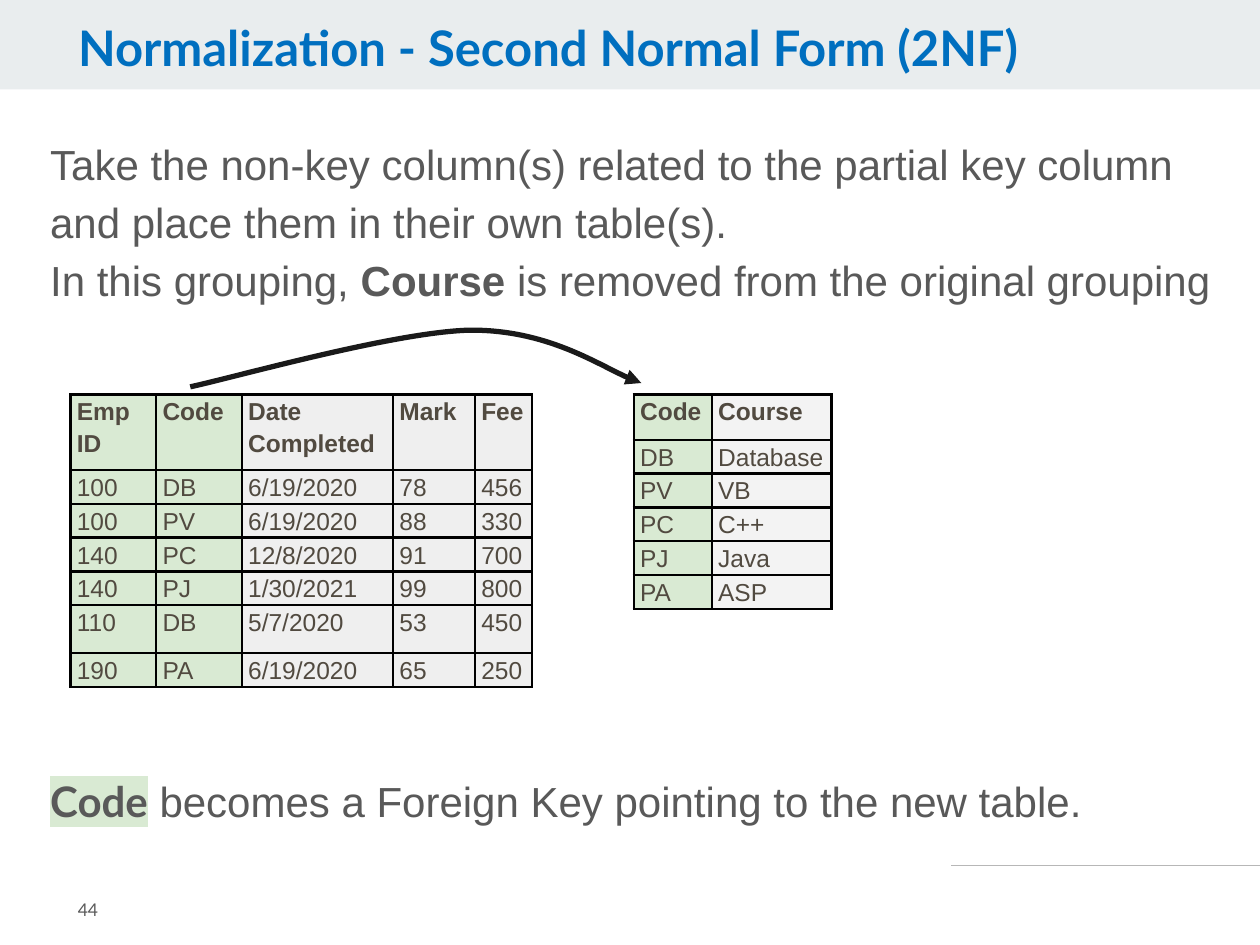
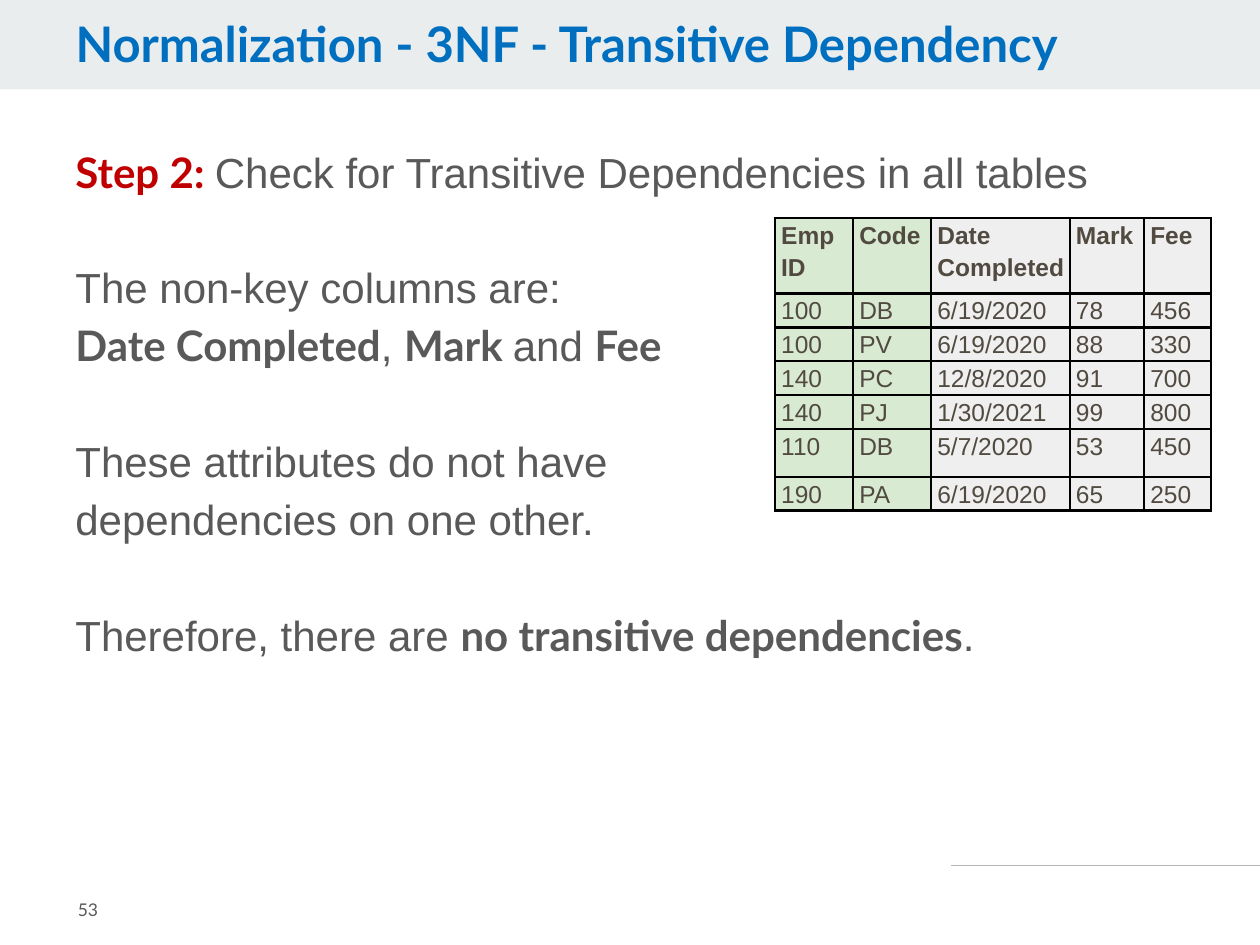
from lxml import etree
from pptx import Presentation
from pptx.dml.color import RGBColor as RGB
from pptx.enum.shapes import MSO_CONNECTOR as Link, MSO_SHAPE as Kind
from pptx.enum.text import MSO_ANCHOR as Anchor, MSO_AUTO_SIZE as Fit, PP_ALIGN as Align
from pptx.oxml import parse_xml
from pptx.oxml.ns import nsdecls, qn
from pptx.util import Inches, Pt

HUE = {"band": "E9EDEE", "rule": "B7B7B7", "title": "006FBF", "body": "595959",
       "step": "C00000", "cell": "514A40", "key": "D9EAD3", "data": "EFEFEF",
       "new": "F3F3F3", "edge": "000000", "arrow": "1A1A1A"}

MARKS = [
    ["Emp ID", "Code", "Date Completed", "Mark", "Fee"],
    ["100", "DB", "6/19/2020", "78", "456"],
    ["100", "PV", "6/19/2020", "88", "330"],
    ["140", "PC", "12/8/2020", "91", "700"],
    ["140", "PJ", "1/30/2021", "99", "800"],
    ["110", "DB", "5/7/2020", "53", "450"],
    ["190", "PA", "6/19/2020", "65", "250"],
]
COURSES = [["Code", "Course"], ["DB", "Database"], ["PV", "VB"],
           ["PC", "C++"], ["PJ", "Java"], ["PA", "ASP"]]
TALL = [0.6, 0.21, 0.21, 0.21, 0.21, 0.38, 0.21]
SHORT = [0.36] + [0.19] * 5

PAGES = [
    {"title": "Normalization - Second Normal Form (2NF)",
     "spot": (0.52, 0.14, 7.88, 0.55), "body": (0.3, 0.99, 9.54, 5.42), "page": "44",
     "text": [
         (0, [("Take the non-key column(s) related to the partial key column "
               "and place them in their own table(s).", "Arial", "body", False)]),
         (0, [("In this grouping, ", "Arial", "body", False),
              ("Course", "Arial", "body", True),
              (" is removed from the original grouping", "Arial", "body", False)]),
         (8, [("Code", "Lato", "body", True, "key"),
              (" becomes a Foreign Key pointing to the new table.", "Arial", "body", False)]),
     ],
     "grids": [(MARKS, 0.56, 3.13, [0.68, 0.68, 1.2, 0.65, 0.45], TALL, 2, "data"),
               (COURSES, 5.03, 3.13, [0.62, 0.95], SHORT, 1, "new")],
     "curve": [(1.51, 3.07), (1.88, 2.99), (3.15, 2.63), (3.74, 2.62),
               (4.34, 2.62), (4.87, 2.97), (5.09, 3.04)]},
    {"title": "Normalization - 3NF - Transitive Dependency",
     "spot": (0.5, 0.11, 8.82, 0.55), "body": (0.5, 1.05, 9.11, 4.99), "page": "53",
     "text": [
         (0, [("Step 2: ", "Lato", "step", True),
              ("Check for Transitive Dependencies in all tables", "Arial", "body", False)]),
         (1, [("The non-key columns are:", "Arial", "body", False)]),
         (0, [("Date Completed", "Lato", "body", True), (", ", "Arial", "body", False),
              ("Mark ", "Lato", "body", True), ("and ", "Arial", "body", False),
              ("Fee", "Lato", "body", True)]),
         (1, [("These attributes do not have", "Arial", "body", False)]),
         (0, [("dependencies on one other.", "Arial", "body", False)]),
         (1, [("Therefore, there are ", "Arial", "body", False),
              ("no transitive dependencies", "Lato", "body", True),
              (".", "Arial", "body", False)]),
     ],
     "grids": [(MARKS, 6.15, 1.73, [0.62, 0.62, 1.1, 0.59, 0.53], TALL, 2, "data")],
     "curve": []},
]


def write(para, text, size, face, hue, bold=False, mark=None):
    run = para.add_run()
    run.text = text
    font = run.font
    font.size, font.name, font.bold = Pt(size), face, bold
    font.color.rgb = RGB.from_string(HUE[hue])
    if mark:
        glow = parse_xml(f'<a:highlight {nsdecls("a")}><a:srgbClr val="{HUE[mark]}"/></a:highlight>')
        font.fill._xPr.find(qn("a:solidFill")).addnext(glow)


def grid(slide, data, left, top, cols, rows, keys, hue):
    frame = slide.shapes.add_table(len(rows), len(cols), Inches(left), Inches(top),
                                   Inches(sum(cols)), Inches(sum(rows)))
    table = frame.table
    table.first_row = table.horz_banding = False
    for c, wide in enumerate(cols):
        table.columns[c].width = Inches(wide)
    for r, high in enumerate(rows):
        table.rows[r].height = Inches(high)
        for c, text in enumerate(data[r]):
            cell = table.cell(r, c)
            cell.margin_left = Inches(0.05)
            cell.margin_right = cell.margin_top = cell.margin_bottom = 0
            cell.fill.solid()
            cell.fill.fore_color.rgb = RGB.from_string(HUE["key" if c < keys else hue])
            para = cell.text_frame.paragraphs[0]
            para.line_spacing = 1.15
            para.space_before = Pt(4 if c >= keys and r >= 3 else 3)
            write(para, text, 14, "Arial", "cell", r == 0)
            props = cell._tc.get_or_add_tcPr()
            for i, side in enumerate("LRTB"):
                props.insert(i, parse_xml(
                    f'<a:ln{side} {nsdecls("a")} w="{Pt(1.5)}"><a:solidFill>'
                    f'<a:srgbClr val="{HUE["edge"]}"/></a:solidFill></a:ln{side}>'))


deck = Presentation()
deck.slide_width, deck.slide_height = Inches(10), Inches(7.5)

for page in PAGES:
    slide = deck.slides.add_slide(deck.slide_layouts[5])
    shapes = slide.shapes
    title = shapes.title

    rule = shapes.add_connector(Link.STRAIGHT, Inches(7.55), Inches(6.87), Inches(10), Inches(6.87))
    rule.line.color.rgb = RGB.from_string(HUE["rule"])
    rule.line.width = Pt(0.75)
    etree.SubElement(rule.element.spPr, qn("a:effectLst"))
    band = shapes.add_shape(Kind.RECTANGLE, 0, 0, Inches(10), Inches(0.71))
    band.shadow.inherit = False
    band.fill.solid()
    band.fill.fore_color.rgb = RGB.from_string(HUE["band"])
    band.line.fill.background()
    for part in (rule, band):
        title.element.addprevious(part.element)

    title.left, title.top, title.width, title.height = map(Inches, page["spot"])
    frame = title.text_frame
    frame.auto_size, frame.vertical_anchor = Fit.NONE, Anchor.TOP
    para = frame.paragraphs[0]
    para.alignment, para.line_spacing = Align.LEFT, 0.9
    write(para, page["title"], 28, "Lato", "title", True)

    frame = shapes.add_textbox(*map(Inches, page["body"])).text_frame
    frame.word_wrap = True
    for i, (gap, runs) in enumerate(page["text"]):
        para = frame.add_paragraph() if i else frame.paragraphs[0]
        para.line_spacing = 1.15
        para.space_before = Pt(33.1 * gap)
        for text, *look in runs:
            write(para, text, 24, *look)

    frame = shapes.add_textbox(Inches(0.52), Inches(6.93), Inches(1.23), Inches(0.57)).text_frame
    frame.word_wrap, frame.vertical_anchor = True, Anchor.MIDDLE
    frame.margin_top = frame.margin_bottom = Inches(0.1)
    write(frame.paragraphs[0], page["page"], 10, "Lato", "body")

    for spec in page["grids"]:
        grid(slide, *spec)

    if page["curve"]:
        dots = [(Inches(x), Inches(y)) for x, y in page["curve"]]
        pen = shapes.build_freeform(*dots[0])
        pen.add_line_segments(dots[1:], close=False)
        arc = pen.convert_to_shape()
        arc.shadow.inherit = False
        arc.fill.background()
        arc.line.color.rgb = RGB.from_string(HUE["arrow"])
        arc.line.width = Pt(3)
        etree.SubElement(arc.line._get_or_add_ln(), qn("a:tailEnd"), type="triangle")
        legs = list(arc.element.iter(qn("a:lnTo")))
        for i in range(0, len(legs), 3):
            bend = etree.Element(qn("a:cubicBezTo"))
            legs[i].addprevious(bend)
            for leg in legs[i:i + 3]:
                bend.append(leg[0])
                leg.getparent().remove(leg)

deck.save("out.pptx")
